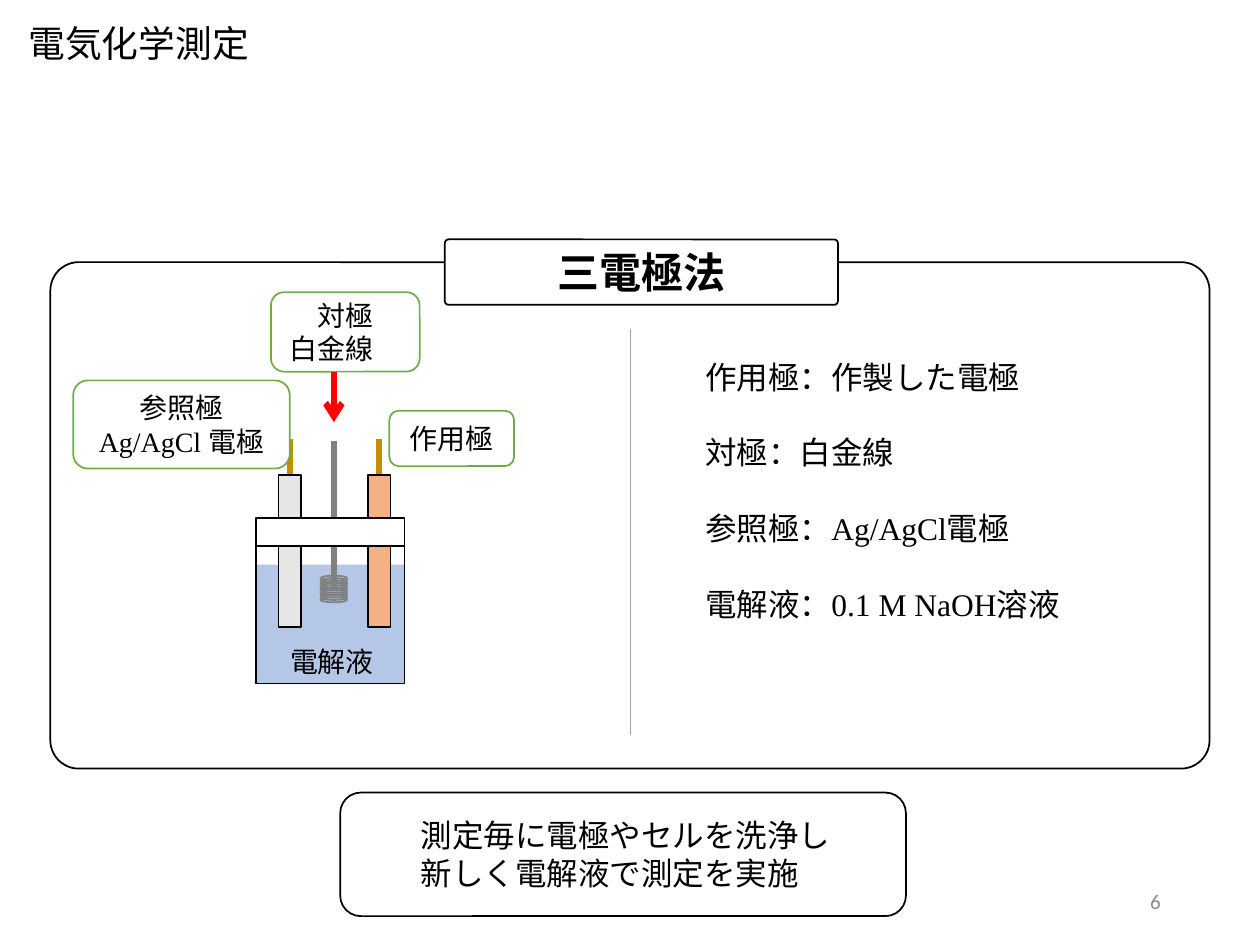
from lxml import etree
from pptx import Presentation
from pptx.dml.color import RGBColor
from pptx.enum.shapes import MSO_CONNECTOR, MSO_SHAPE
from pptx.enum.text import MSO_ANCHOR, PP_ALIGN
from pptx.oxml.ns import qn
from pptx.util import Pt

RECT, ROUND, OVAL = MSO_SHAPE.RECTANGLE, MSO_SHAPE.ROUNDED_RECTANGLE, MSO_SHAPE.OVAL
STRAIGHT = MSO_CONNECTOR.STRAIGHT
LEFT, CENTER, RIGHT = PP_ALIGN.LEFT, PP_ALIGN.CENTER, PP_ALIGN.RIGHT
TOP, MIDDLE = MSO_ANCHOR.TOP, MSO_ANCHOR.MIDDLE
BLACK, WHITE, GREEN, GRAY, GOLD = "000000", "FFFFFF", "70AD47", "808080", "BF9000"
SERIF, JAPANESE = "Times New Roman", "Noto Sans CJK JP"


def rgb(value):
    return RGBColor.from_string(value)


class SlideBuilder:
    """Draws styled elements on one page; all lengths are points."""

    def __init__(self, page):
        self.page = page

    def fill_text(self, box, lines, size, font=JAPANESE, color=BLACK, align=CENTER,
                  anchor=MIDDLE, bold=False, gap=0):
        frame = box.text_frame
        frame.word_wrap = True
        frame.vertical_anchor = anchor
        for index, line in enumerate(lines):
            para = frame.paragraphs[0] if index == 0 else frame.add_paragraph()
            para.text = line
            para.alignment = align
            para.line_spacing = Pt(size * 1.2)
            para.space_before = Pt(gap if index else 0)
            para.font.size = Pt(size)
            para.font.bold = bold
            para.font.color.rgb = rgb(color)
            para.font.name = font
            defaults = para._p.pPr.find(qn("a:defRPr"))
            etree.SubElement(defaults, qn("a:ea")).set("typeface", JAPANESE)

    def text(self, left, top, width, height, lines, size, **style):
        box = self.page.shapes.add_textbox(Pt(left), Pt(top), Pt(width), Pt(height))
        self.fill_text(box, lines, size, **style)

    def shape(self, kind, left, top, width, height, fill=None, line=None, corner=None):
        box = self.page.shapes.add_shape(kind, Pt(left), Pt(top), Pt(width), Pt(height))
        box.shadow.inherit = False
        if fill:
            box.fill.solid()
            box.fill.fore_color.rgb = rgb(fill)
        else:
            box.fill.background()
        if line:
            box.line.color.rgb = rgb(line)
            box.line.width = Pt(1)
        else:
            box.line.fill.background()
        if corner is not None:
            box.adjustments[0] = corner
        return box

    def label(self, left, top, width, height, lines, font=JAPANESE):
        box = self.shape(ROUND, left, top, width, height, WHITE, GREEN)
        self.fill_text(box, lines, 16, font=font)

    def vertical(self, x, start, end, color, weight, arrow=False):
        line = self.page.shapes.add_connector(STRAIGHT, Pt(x), Pt(start), Pt(x), Pt(end))
        line.line.color.rgb = rgb(color)
        line.line.width = Pt(weight)
        properties = line._element.spPr
        if arrow:
            outline = properties.find(qn("a:ln"))
            etree.SubElement(outline, qn("a:tailEnd")).set("type", "arrow")
        etree.SubElement(properties, qn("a:effectLst"))


def main():
    deck = Presentation()
    deck.slide_width, deck.slide_height = Pt(720), Pt(540)
    page = deck.slides.add_slide(deck.slide_layouts[6])
    draw = SlideBuilder(page)

    # Title and page number
    draw.text(-32.4, 8.6, 223.2, 32.4, ["電気化学測定"], 21, anchor=TOP)
    draw.text(508.3, 500.4, 162, 28.8, ["6"], 12, font="Calibri", color="8C8C8C",
              align=RIGHT)

    # Cell: liquid, leads, vessel, electrodes, lid
    cell_left, cell_width, wire_x = 146.2, 85, 190.8
    draw.shape(RECT, cell_left, 322.6, cell_width, 68.4, fill="B4C7E7")
    draw.vertical(wire_x, 337, 252, GRAY, 3.25)
    for lead_x in (216.7, 165.6):
        draw.vertical(lead_x, 282.2, 251, GOLD, 3.25)
    draw.shape(RECT, cell_left, 311.8, cell_width, 78.8, line=BLACK)
    for rod_left, color in ((210.2, "F4B183"), (159.1, "E7E6E6")):
        draw.shape(RECT, rod_left, 271.4, 13, 86.8, color, BLACK)
    draw.shape(RECT, cell_left, 295.9, cell_width, 16.2, WHITE, BLACK)

    # Electrode labels
    draw.label(41.8, 217.4, 123.8, 50.4, ["参照極", "Ag/AgCl 電極"], SERIF)
    draw.label(154.8, 167, 85, 45.4, ["対極", "白金線　"])
    draw.vertical(wire_x, 212.4, 241.2, "FF0000", 3.5, arrow=True)
    draw.label(222.5, 234.7, 71.3, 31.7, ["作用極"])
    draw.text(152.6, 362.2, 74.2, 31, ["電解液"], 16, font=SERIF)

    # Platinum coil
    for turn in range(10):
        draw.shape(OVAL, 183.2, 329 + 1.37 * turn, 15.2, 2.9, line=GRAY)

    # Panel with heading, divider and list of parts
    draw.shape(ROUND, 28.8, 149.8, 662.4, 289.4, line=BLACK, corner=0.056)
    heading = draw.shape(ROUND, 254.2, 136.8, 224.6, 37.4, WHITE, BLACK, corner=0.056)
    draw.fill_text(heading, ["三電極法"], 24, bold=True)
    draw.vertical(360, 187.9, 419.8, "A5A5A5", 0.5)
    parts = ["作用極：作製した電極", "対極：白金線", "参照極：Ag/AgCl電極",
             "電解液：0.1 M NaOH溶液"]
    draw.text(396, 200.9, 240, 160, parts, 18, font=SERIF, align=LEFT, anchor=TOP,
              gap=21.6)

    # Closing remark
    draw.shape(ROUND, 194.4, 452.9, 323.3, 70.6, line=BLACK)
    draw.text(233.3, 463, 260, 51, ["測定毎に電極やセルを洗浄し", "新しく電解液で測定を実施"],
              18, font=SERIF, align=LEFT, anchor=TOP)

    deck.save("out.pptx")


if __name__ == "__main__":
    main()
